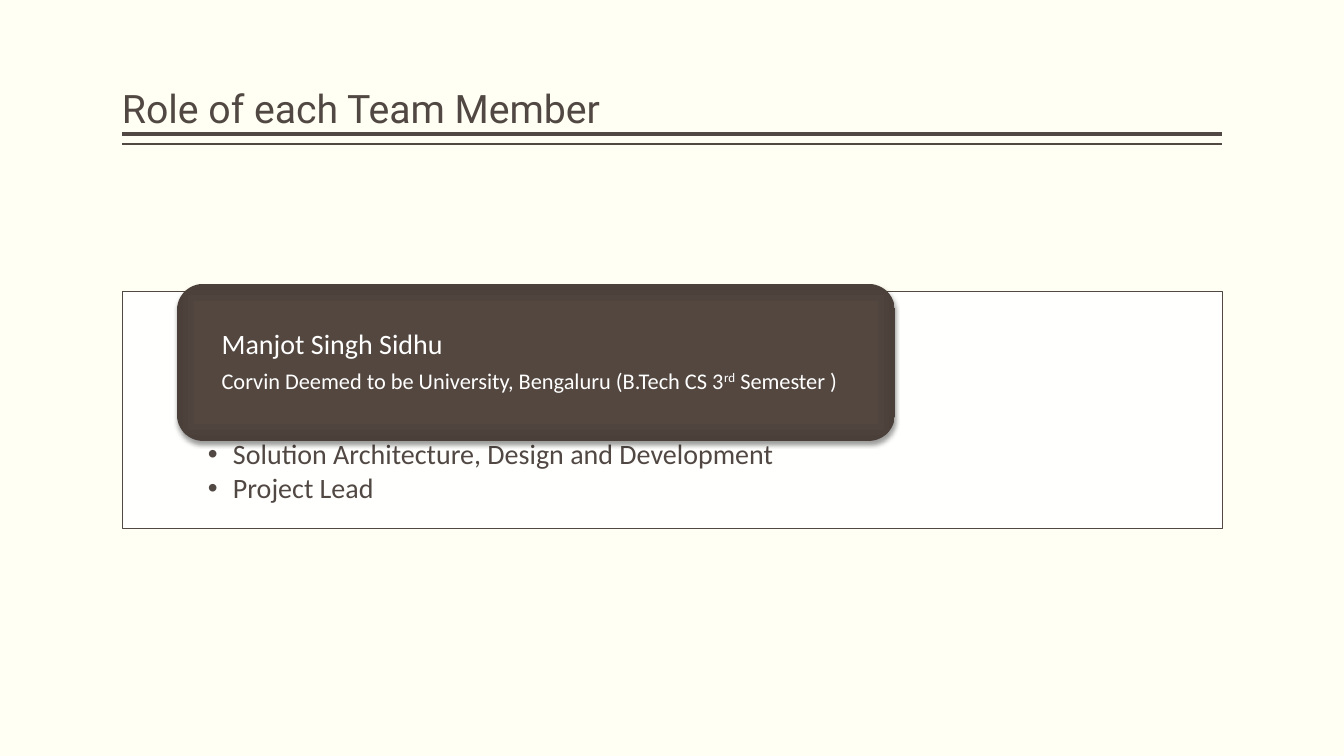
import pptx
import pptx.dml.color
import pptx.enum.shapes
import pptx.enum.text
import pptx.oxml
import pptx.oxml.ns
import pptx.util

EMU_PER_PX = 12192000 / 1344
BROWN = "514843"
WHITE = "FFFFFF"
LEFT, WIDTH = 122, 1100
NAMESPACE = pptx.oxml.ns.nsdecls("a")


def px(length):
    return pptx.util.Emu(round(length * EMU_PER_PX))


def color(value):
    return pptx.dml.color.RGBColor.from_string(value)


def parse(xml):
    return pptx.oxml.parse_xml(xml.replace(">", f" {NAMESPACE}>", 1))


def set_frame(shape, anchor, insets):
    frame = shape.text_frame
    frame.word_wrap = True
    frame.auto_size = pptx.enum.text.MSO_AUTO_SIZE.NONE
    frame.vertical_anchor = anchor
    frame.margin_left, frame.margin_top, frame.margin_right, frame.margin_bottom = map(px, insets)
    return frame


def add_run(paragraph, text, size, font, fill, baseline=0):
    run = paragraph.add_run()
    run.text = text
    run.font.size = pptx.util.Pt(size)
    run.font.name = font
    run.font.color.rgb = color(fill)
    if baseline:
        run._r.get_or_add_rPr().set("baseline", str(baseline * 1000))


def add_paragraph(frame, index, space_after=0):
    paragraph = frame.add_paragraph() if index else frame.paragraphs[0]
    paragraph.alignment = pptx.enum.text.PP_ALIGN.LEFT
    paragraph.line_spacing = 0.9
    paragraph.space_after = pptx.util.Pt(space_after)
    return paragraph


def add_bullet(paragraph):
    properties = paragraph._p.get_or_add_pPr()
    properties.set("marL", str(px(25)))
    properties.set("indent", str(px(-25)))
    properties.append(parse('<a:buFont typeface="Arial"/>'.replace("/>", "></a:buFont>")))
    properties.append(parse('<a:buChar char="•"></a:buChar>'))


def add_rule(slide, top, weight):
    straight = pptx.enum.shapes.MSO_CONNECTOR.STRAIGHT
    rule = slide.shapes.add_connector(straight, px(LEFT), px(top), px(LEFT + WIDTH), px(top))
    rule.line.color.rgb = color(BROWN)
    rule.line.width = pptx.util.Pt(weight)
    rule._element.spPr.append(parse("<a:effectLst></a:effectLst>"))


def add_title(slide, text):
    title = slide.shapes.title
    title.left, title.top, title.width, title.height = px(LEFT), px(8), px(WIDTH), px(129)
    frame = set_frame(title, pptx.enum.text.MSO_ANCHOR.BOTTOM, (0, 5, 0, 5))
    add_run(add_paragraph(frame, 0), text, 28, "Roboto", BROWN)


def add_role_panel(slide, roles):
    rectangle = pptx.enum.shapes.MSO_SHAPE.RECTANGLE
    panel = slide.shapes.add_shape(rectangle, px(LEFT), px(291), px(WIDTH), px(237))
    panel.shadow.inherit = False
    panel.fill.solid()
    panel.fill.fore_color.rgb = color(WHITE)
    fill_color = panel._element.spPr.find(".//" + pptx.oxml.ns.qn("a:srgbClr"))
    fill_color.append(parse('<a:alpha val="90000"></a:alpha>'))
    panel.line.color.rgb = color(BROWN)
    panel.line.width = pptx.util.Pt(0.5)
    frame = set_frame(panel, pptx.enum.text.MSO_ANCHOR.TOP, (86, 149, 86, 16))
    for index, role in enumerate(roles):
        paragraph = add_paragraph(frame, index, 3)
        add_bullet(paragraph)
        add_run(paragraph, role, 20, "Calibri", BROWN)


def style_card(card):
    card.shadow.inherit = False
    card.line.fill.background()
    stops = "".join(
        f'<a:gs pos="{position * 1000}"><a:srgbClr val="{value}"/></a:gs>'
        for position, value in ((0, "544740"), (71, "534740"), (100, "4A3F39"))
    )
    gradient = parse(
        f'<a:gradFill rotWithShape="1"><a:gsLst>{stops}</a:gsLst><a:path path="rect">'
        '<a:fillToRect l="50000" t="50000" r="50000" b="50000"/></a:path></a:gradFill>'
    )
    properties = card._element.spPr
    properties.find(pptx.oxml.ns.qn("a:ln")).addprevious(gradient)
    shadow = parse(
        f'<a:outerShdw blurRad="{pptx.util.Pt(3.1)}" dist="{pptx.util.Pt(2)}" dir="5400000" '
        'rotWithShape="0"><a:srgbClr val="000000"><a:alpha val="38000"/></a:srgbClr></a:outerShdw>'
    )
    properties.find(pptx.oxml.ns.qn("a:effectLst")).append(shadow)


def add_member_card(slide, lines):
    rounded = pptx.enum.shapes.MSO_SHAPE.ROUNDED_RECTANGLE
    card = slide.shapes.add_shape(rounded, px(177), px(284), px(718), px(157))
    style_card(card)
    frame = set_frame(card, pptx.enum.text.MSO_ANCHOR.MIDDLE, (37, 0, 37, 0))
    for index, (size, runs) in enumerate(lines):
        paragraph = add_paragraph(frame, index, 7)
        for text, baseline in runs:
            add_run(paragraph, text, size, "Calibri", WHITE, baseline)


def main():
    presentation = pptx.Presentation()
    presentation.slide_width, presentation.slide_height = px(1344), px(756)
    slide = presentation.slides.add_slide(presentation.slide_layouts[5])
    slide.background.fill.solid()
    slide.background.fill.fore_color.rgb = color("FFFFF3")
    add_rule(slide, 134, 3)
    add_rule(slide, 144, 1)
    add_title(slide, "Role of each Team Member")
    add_role_panel(slide, ["Solution Architecture, Design and Development", "Project Lead"])
    university = "Corvin Deemed to be University, Bengaluru (B.Tech CS 3"
    add_member_card(slide, [
        (20, [("Manjot Singh Sidhu", 0)]),
        (16, [(university, 0), ("rd", 30), (" Semester )", 0)]),
    ])
    presentation.save("out.pptx")


if __name__ == "__main__":
    main()
